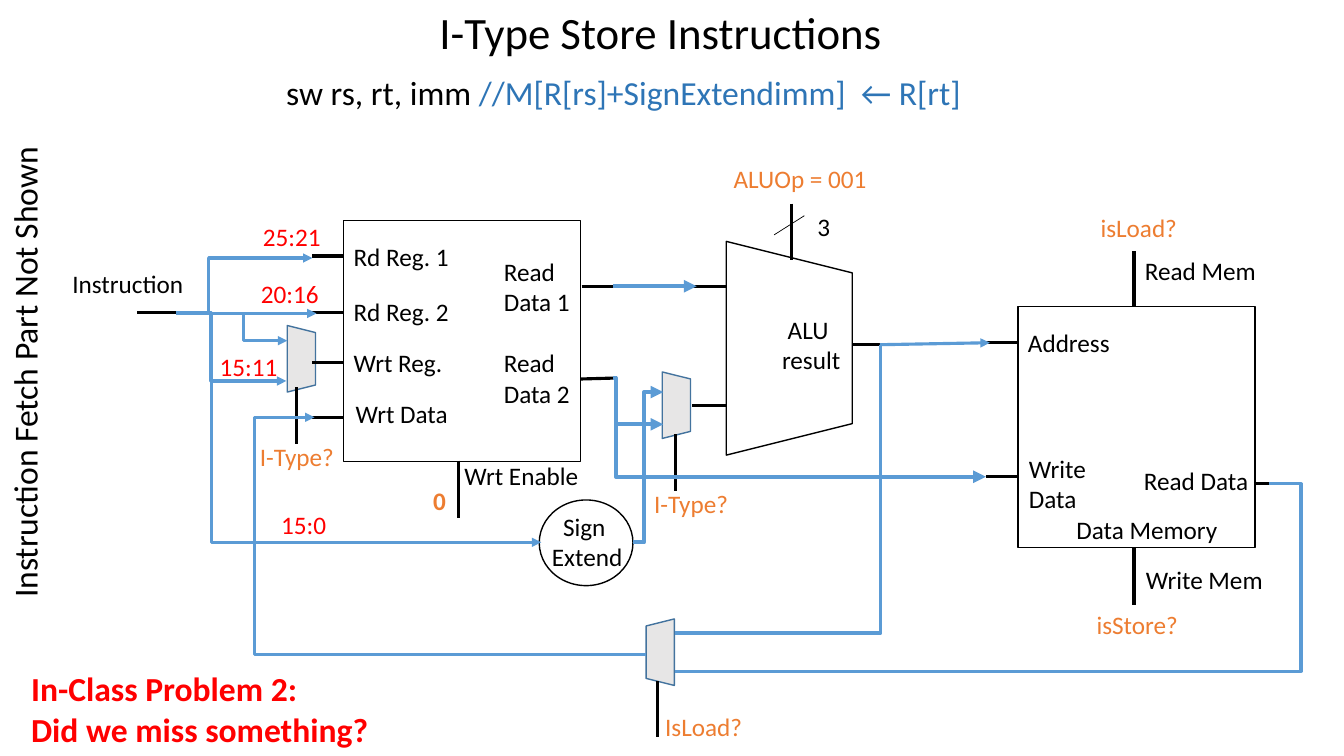
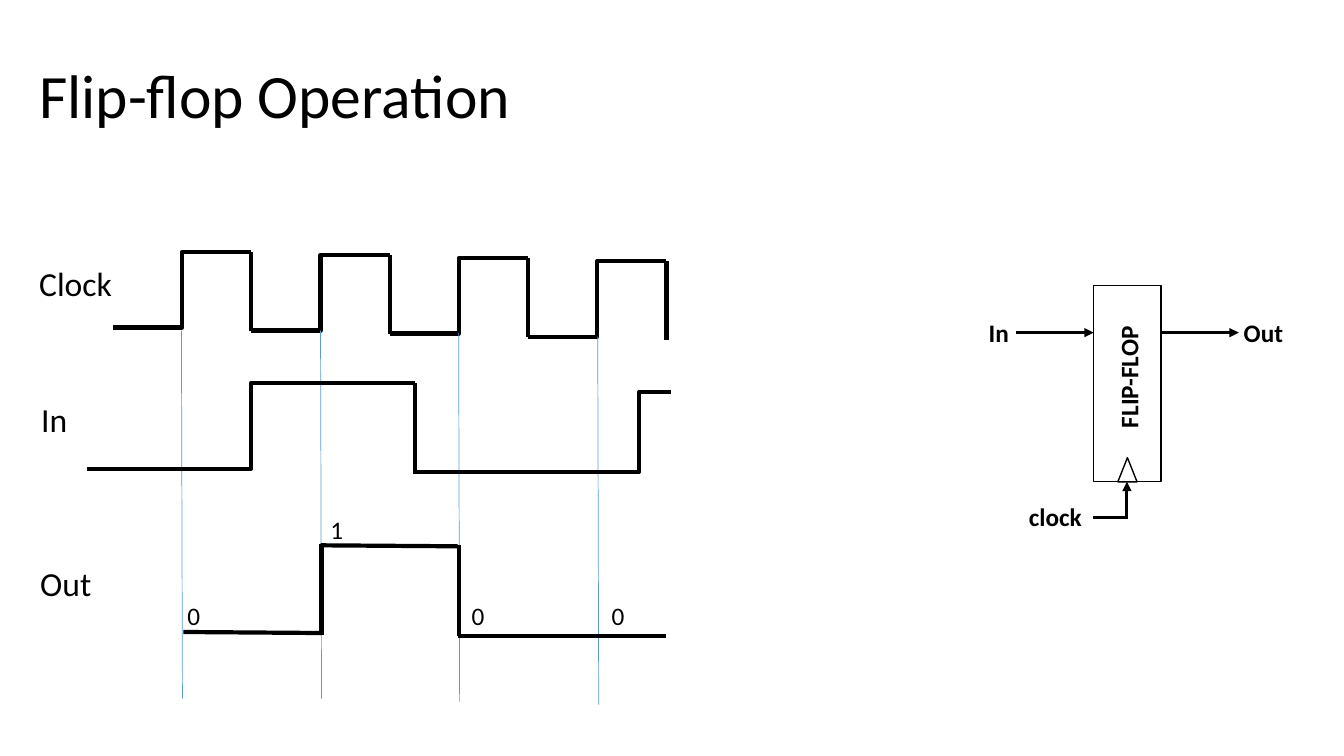
from lxml import etree
from pptx import Presentation
from pptx import util as u
from pptx.dml.color import RGBColor
from pptx.enum import shapes, text
from pptx.oxml.ns import qn

PX = 9144
INK, BLUE, SKY, RED, AMBER = "000000", "5B9BD5", "2E75B6", "FF0000", "ED7D31"
GRAY, EDGE = "E7E6E6", "43739E"
FONT = "Calibri"
KIND = shapes.MSO_SHAPE
BOX, OVAL, TRAP, TRI = KIND.RECTANGLE, KIND.OVAL, KIND.TRAPEZOID, KIND.ISOSCELES_TRIANGLE

PARTS = [
    (BOX, 341, 219, 235, 239, 0),
    (BOX, 1010, 304, 235, 239, 0),
    (TRAP, 677, 283, 212, 125, 90),
    (OVAL, 535, 496, 93, 85, 0),
]
MUXES = [(266, 342, 90), (638, 388, 90), (622, 633, 270)]
STUBS = [
    (310, 254, 341, 254), (310, 310, 341, 310), (310, 360, 341, 360), (310, 414, 341, 414),
    (577, 284, 608, 284), (576, 376, 612, 375), (845, 342, 878, 342), (688, 284, 721, 284),
    (687, 402, 720, 402), (136, 310, 179, 310), (785, 202, 785, 258), (455, 457, 455, 514),
    (294, 440, 294, 384), (670, 487, 670, 431), (978, 340, 1010, 340), (978, 473, 1010, 473),
    (1244, 480, 1275, 480), (652, 731, 652, 676), (1125, 304, 1125, 249), (1125, 600, 1125, 544),
]
WIRES = [
    (175, 311, 310, 256, 207, 2.25, True),
    (203, 311, 314, 311, None, 2.25, True),
    (608, 284, 691, 284, None, 3, True),
    (641, 649, 312, 414, 252, 2.25, True),
    (874, 342, 670, 628, 874, 2.25, False),
    (175, 310, 284, 378, 209, 2.25, True),
    (208, 310, 537, 538, 210, 2.25, True),
    (242, 312, 285, 338, 242, 2.25, True),
    (628, 538, 658, 389, 639, 3, True),
    (608, 375, 658, 421, 611, 3, True),
    (873, 342, 982, 340, None, 2.25, True),
    (1259, 480, 670, 666, 1291, 2.25, False),
    (610, 418, 978, 473, 611, 3, True),
]
LABELS = [
    ("Rd Reg. 1", 341, 234, 116), ("Rd Reg. 2", 341, 289, 116), ("Wrt Reg.", 341, 340, 109),
    ("Wrt Data", 343, 390, 113), ("Read\nData 1", 490, 249, 86), ("Read\nData 2", 490, 340, 86),
    (" ALU\nresult", 766, 307, 79), ("3", 801, 205, 33), ("Wrt Enable", 451, 452, 134),
    ("Address", 1010, 320, 102), ("Write\nData", 1011, 445, 83), ("Read Data", 1125, 457, 125),
    ("Instruction", 62, 261, 137), ("Data Memory", 1058, 505, 162), ("Read Mem", 1126, 248, 132),
    ("Write Mem", 1127, 555, 137),
]
BITS = [("25:21", 251, 215, 78), ("20:16", 249, 271, 78), ("15:11", 208, 344, 78), ("15:0", 269, 500, 65)]
FLAGS = [
    ("ALUOp = 001", 718, 157, 154), ("I-Type?", 248, 433, 94), ("I-Type?", 639, 480, 94),
    ("IsLoad?", 650, 701, 98), ("isStore?", 1078, 600, 102), ("isLoad?", 1082, 206, 97),
]

CELL = [(BOX, 1085, 283, 67, 195, 0), (TRI, 1109, 454, 19, 24, 0)]
PINS = [("clock", 1011, 492, 73), ("In", 971, 310, 40), ("Out", 1224, 310, 59)]
ROWS = [("Clock", 29, 256, 93), ("In", 31, 391, 54), ("Out", 30, 554, 71)]
VALUES = [("0", 176, 591, 33), ("1", 318, 505, 33), ("0", 458, 591, 33), ("0", 597, 591, 33)]
LEADS = [(1008, 330, 1085, 330, True), (1152, 330, 1229, 330, True),
         (1084, 513, 1119, 513, False), (1118, 513, 1118, 478, True)]
GUIDES = [(180, 328, 693), (318, 328, 693), (455, 330, 696), (593, 334, 699)]
WAVES = [
    (86, 465, 412, 380, 249), (412, 380, 412, 470, None), (411, 468, 666, 389, 634),
    (319, 628, 182, 627, None), (319, 540, 319, 630, None), (454, 542, 318, 541, None),
    (455, 541, 455, 631, None), (661, 631, 454, 631, None),
]


def hue(code):
    return RGBColor.from_string(code)


def place(*nums):
    return [u.Emu(round(n * PX)) for n in nums]


def fill_text(frame, words, size=18, color=INK, bold=False, align=text.PP_ALIGN.LEFT, space=None):
    for i, row in enumerate(words.split("\n")):
        para = frame.paragraphs[0] if i == 0 else frame.add_paragraph()
        para.alignment = align
        para.line_spacing = space
        add_run(para, row, size, color, bold)


def add_run(para, words, size, color, bold=False):
    run = para.add_run()
    run.text = words
    font = run.font
    font.name, font.size, font.bold = FONT, u.Pt(size), bold
    font.color.rgb = hue(color)


def label(slide, words, x, y, w, h=None, turn=0, **style):
    tall = h or (71 if "\n" in words else 40)
    box = slide.shapes.add_textbox(*place(x, y, w, tall))
    box.rotation = turn
    frame = box.text_frame
    frame.word_wrap = False
    frame.auto_size = text.MSO_AUTO_SIZE.SHAPE_TO_FIT_TEXT
    fill_text(frame, words, **style)
    return frame


def head(slide, words, x, y, w, h, anchor, **style):
    title = slide.shapes.title
    title.left, title.top, title.width, title.height = place(x, y, w, h)
    frame = title.text_frame
    frame.word_wrap = True
    frame.auto_size = text.MSO_AUTO_SIZE.NONE
    frame.vertical_anchor = anchor
    fill_text(frame, words, **style)


def part(slide, kind, x, y, w, h, turn=0, fill=None, edge=INK):
    item = slide.shapes.add_shape(kind, *place(x, y, w, h))
    item.shadow.inherit = False
    item.rotation = turn
    if fill:
        item.fill.solid()
        item.fill.fore_color.rgb = hue(fill)
    else:
        item.fill.background()
    item.line.color.rgb = hue(edge)
    item.line.width = u.Pt(1)


def wire(slide, x, y, x2, y2, mid=None, width=2.25, arrow=False, color=INK):
    types = shapes.MSO_CONNECTOR
    kind = types.STRAIGHT if mid is None else types.ELBOW
    item = slide.shapes.add_connector(kind, *place(x, y, x2, y2))
    item.line.color.rgb = hue(color)
    item.line.width = u.Pt(width)
    props = item._element.spPr
    if mid is not None:
        geom = props.find(qn("a:prstGeom"))
        vals = geom.find(qn("a:avLst"))
        if vals is None:
            vals = etree.SubElement(geom, qn("a:avLst"))
        ratio = round((mid - x) / (x2 - x) * 100000)
        etree.SubElement(vals, qn("a:gd"), name="adj1", fmla=f"val {ratio}")
    if arrow:
        etree.SubElement(props.find(qn("a:ln")), qn("a:tailEnd"), type="triangle")
    etree.SubElement(props, qn("a:effectLst"))


def store(slide):
    head(slide, "I-Type Store Instructions", 426, 0, 572, 64, text.MSO_ANCHOR.TOP, size=32)
    for item in PARTS:
        part(slide, *item)
    for x, y, turn in MUXES:
        part(slide, TRAP, x, y, 66, 28, turn, GRAY, EDGE)
    for item in STUBS:
        wire(slide, *item)
    wire(slide, 768, 233, 798, 214, width=0.5)
    for item in WIRES:
        wire(slide, *item, color=BLUE)
    for group, color in ((LABELS, INK), (BITS, RED), (FLAGS, AMBER)):
        for item in group:
            label(slide, *item, color=color)
    label(slide, "Sign \nExtend", 537, 502, 91, align=text.PP_ALIGN.CENTER)
    label(slide, "0", 420, 477, 33, color=AMBER, bold=True)
    label(slide, "Instruction Fetch Part Not Shown", -212, 342, 472, 50, 270, size=24)
    label(slide, "In-Class Problem 2:\nDid we miss something?", 21, 658, 358, 91,
          size=24, color=RED, bold=True)
    code = label(slide, "sw rs, rt, imm ", 274, 66, 721, 50, size=24)
    code.word_wrap = True
    add_run(code.paragraphs[0], "//M[R[rs]+SignExtendimm]  ← R[rt]", 24, SKY)


def flip(slide):
    head(slide, "Flip-flop Operation", 29, 25, 1150, 145, text.MSO_ANCHOR.MIDDLE, size=44, space=0.9)
    for item in CELL:
        part(slide, *item)
    label(slide, "FLIP-FLOP", 1058, 353, 123, turn=270, bold=True)
    for *ends, arrow in LEADS:
        wire(slide, *ends, arrow=arrow)
    for i in range(4):
        x, top, low = 112 + 137.3 * i, 250 + 3 * i, 325 + 3 * i
        end = x + 137.3
        wire(slide, x, low, end, top, (x + end) / 2, 3)
        wire(slide, end, top, end, low + 3, width=3)
    for x, y, y2 in GUIDES:
        wire(slide, x, y, x + 1, y2, width=0.5, color=BLUE)
    for item in WAVES:
        wire(slide, *item, width=3)
    for item in PINS:
        label(slide, *item, bold=True)
    for item in ROWS:
        label(slide, *item, h=50, size=24)
    for item in VALUES:
        label(slide, *item)


def main():
    deck = Presentation()
    deck.slide_width, deck.slide_height = place(1333.33, 750)
    for draw in (store, flip):
        draw(deck.slides.add_slide(deck.slide_layouts[5]))
    deck.save("out.pptx")


if __name__ == "__main__":
    main()
